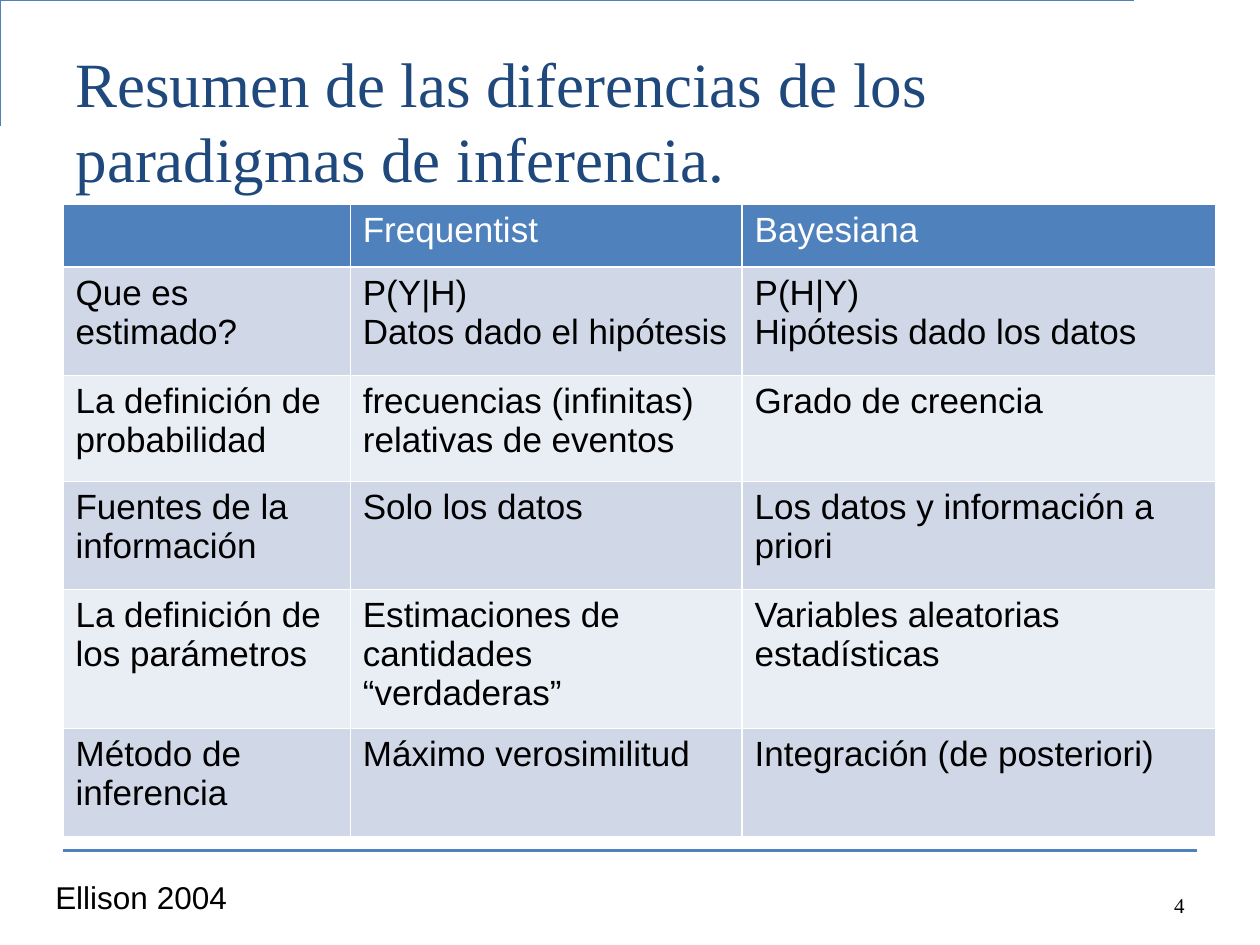
"""Builds a slide with a table comparing frequentist and Bayesian inference."""
from lxml import etree
from pptx import Presentation
from pptx import util as u
from pptx.dml.color import RGBColor
from pptx.enum import text
from pptx.oxml.ns import qn

COLORS = {"accent": "4F81BD", "title": "1F497D", "text": "000000",
          "white": "FFFFFF", "odd": "D0D8E8", "even": "E9EDF4"}
COLS = [2.28, 3.11, 3.76]
ROWS = [0.5, 0.86, 0.84, 0.86, 0.86, 0.86]
CELLS = [
    ["", "Frequentist", "Bayesiana"],
    ["Que es estimado?", "P(Y|H)\nDatos dado el hipótesis", "P(H|Y)\nHipótesis dado los datos"],
    ["La definición de probabilidad", "frecuencias (infinitas) relativas de eventos",
     "Grado de creencia"],
    ["Fuentes de la información", "Solo los datos", "Los datos y información a priori"],
    ["La definición de los parámetros", "Estimaciones de cantidades “verdaderas”",
     "Variables aleatorias estadísticas"],
    ["Método de inferencia", "Máximo verosimilitud", "Integración (de posteriori)"],
]


def write(tf, words, size, font, color, align=text.PP_ALIGN.LEFT):
    tf.text = words
    tf.word_wrap = True
    for p in tf.paragraphs:
        p.alignment = align
        for r in p.runs:
            r.font.size, r.font.name, r.font.bold = u.Pt(size), font, False
            r.font.color.rgb = RGBColor.from_string(COLORS[color])


def rule(sp):
    sp.line.color.rgb = RGBColor.from_string(COLORS["accent"])
    sp.line.width = u.Pt(1.5)
    props = sp._element.spPr
    if props.find(qn("a:effectLst")) is None:
        etree.SubElement(props, qn("a:effectLst"))


prs = Presentation()
prs.slide_width, prs.slide_height = u.Inches(10), u.Inches(7.5)
W, H = prs.slide_width, prs.slide_height
s = prs.slides.add_slide(prs.slide_layouts[5])
left, width = int(W * 0.05), int(W * 0.9)

corner = s.shapes.build_freeform(0.42, 0.92, scale=u.Inches(1))
corner.add_line_segments([(0.42, 0.25), (9.42, 0.25)], close=False)
sp = corner.convert_to_shape()
sp.fill.background()
rule(sp)
rule(s.shapes.add_connector(1, left, int(H * 0.9), left + width, int(H * 0.9)))

title = s.shapes.title
title.left, title.top, title.width, title.height = left, int(H * 0.04), width, u.Inches(1.25)
tf = title.text_frame
write(tf, "Resumen de las diferencias de los paradigmas de inferencia.",
      36, "Times New Roman", "title")
tf.vertical_anchor = text.MSO_ANCHOR.TOP
tf.auto_size = text.MSO_AUTO_SIZE.NONE

number = s.shapes.add_textbox(u.Inches(7.17), u.Inches(6.83), u.Inches(2.33), u.Inches(0.5))
write(number.text_frame, "4", 12, "Times New Roman", "text", text.PP_ALIGN.RIGHT)
number.text_frame.vertical_anchor = text.MSO_ANCHOR.BOTTOM

table = s.shapes.add_table(len(ROWS), len(COLS), left, u.Inches(1.62),
                           u.Inches(sum(COLS)), u.Inches(sum(ROWS))).table
for col, w in zip(table.columns, COLS):
    col.width = u.Inches(w)
for i, (row, h) in enumerate(zip(table.rows, ROWS)):
    row.height = u.Inches(h)
    band = "accent" if i == 0 else "odd" if i % 2 else "even"
    for cell, words in zip(row.cells, CELLS[i]):
        write(cell.text_frame, words, 20, "Arial", "text" if i else "white")
        props = cell._tc.get_or_add_tcPr()
        for side in ("lnL", "lnR", "lnT", "lnB"):
            ln = etree.SubElement(props, qn("a:" + side), w=str(u.Pt(1)))
            fill = etree.SubElement(ln, qn("a:solidFill"))
            etree.SubElement(fill, qn("a:srgbClr"), val=COLORS["white"])
        cell.fill.solid()
        cell.fill.fore_color.rgb = RGBColor.from_string(COLORS[band])

source = s.shapes.add_textbox(u.Inches(0.34), u.Inches(6.92), u.Inches(2.49), u.Inches(0.4))
write(source.text_frame, "Ellison 2004", 18, "Arial", "text")

prs.save("out.pptx")
